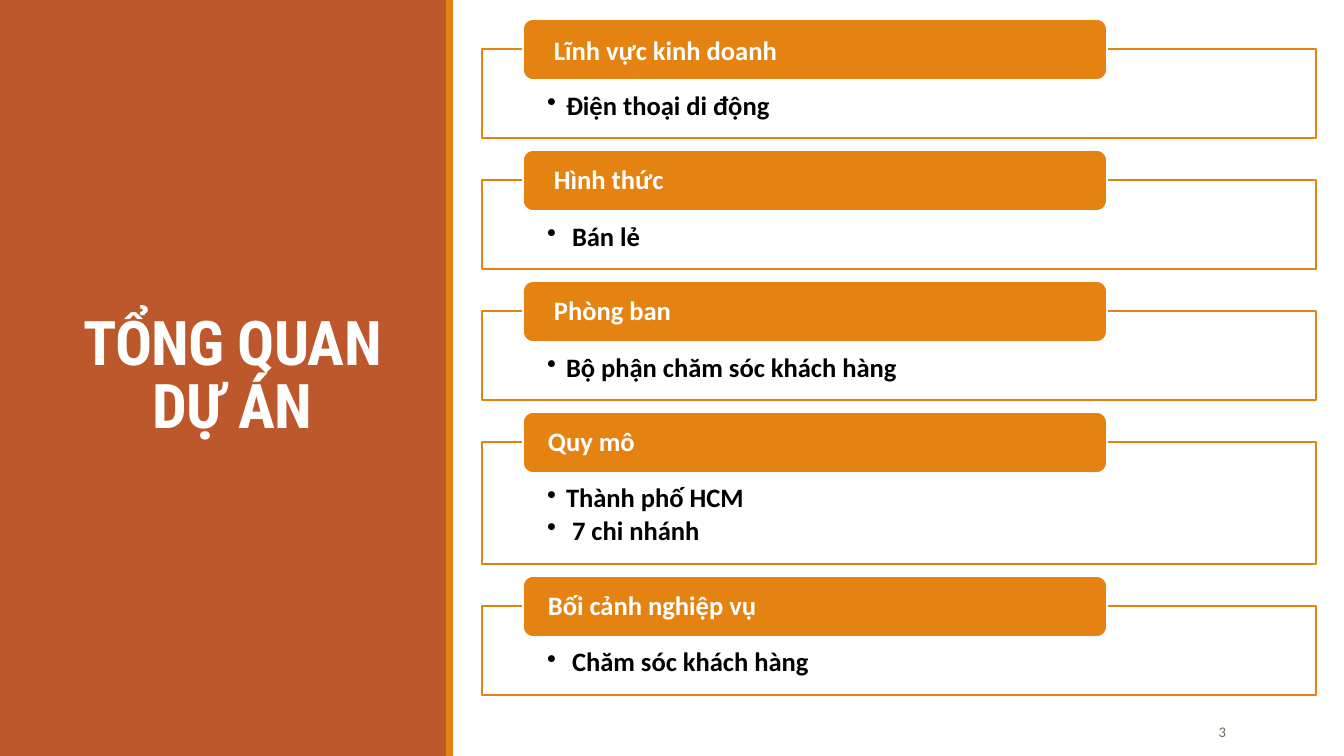
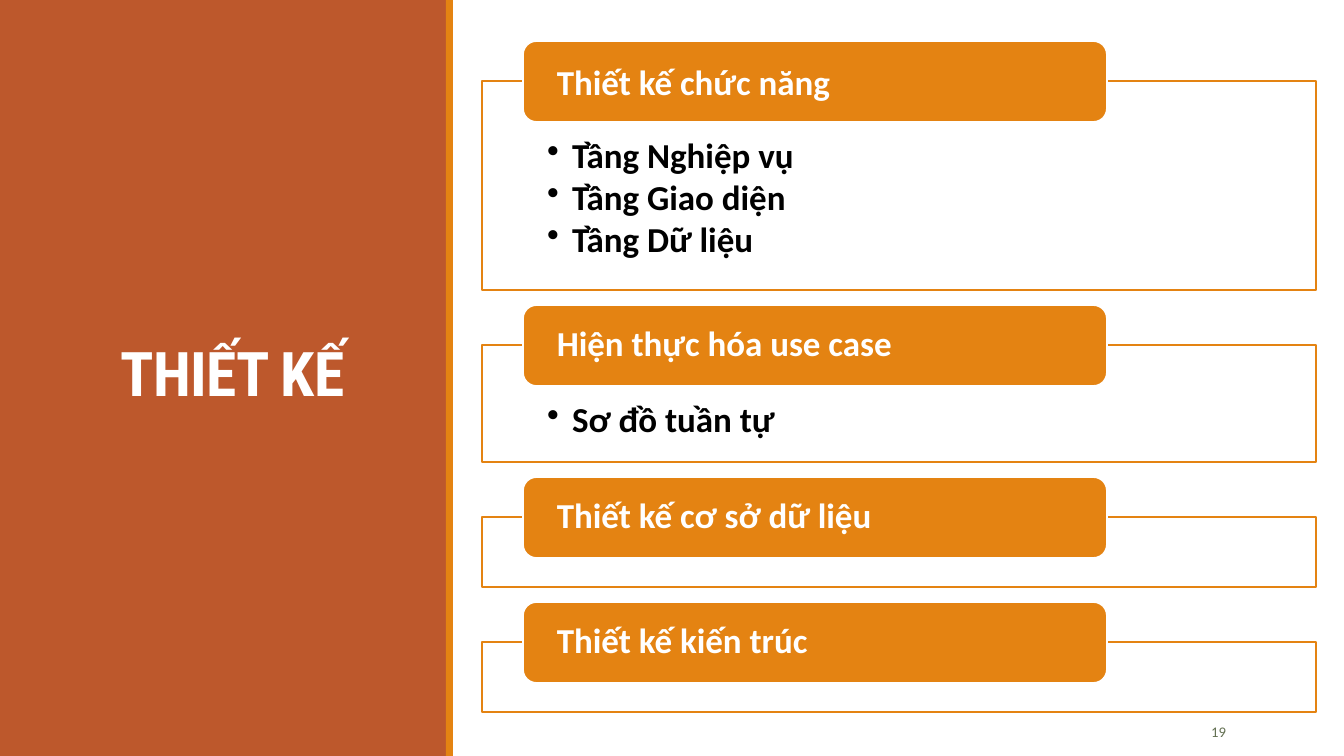
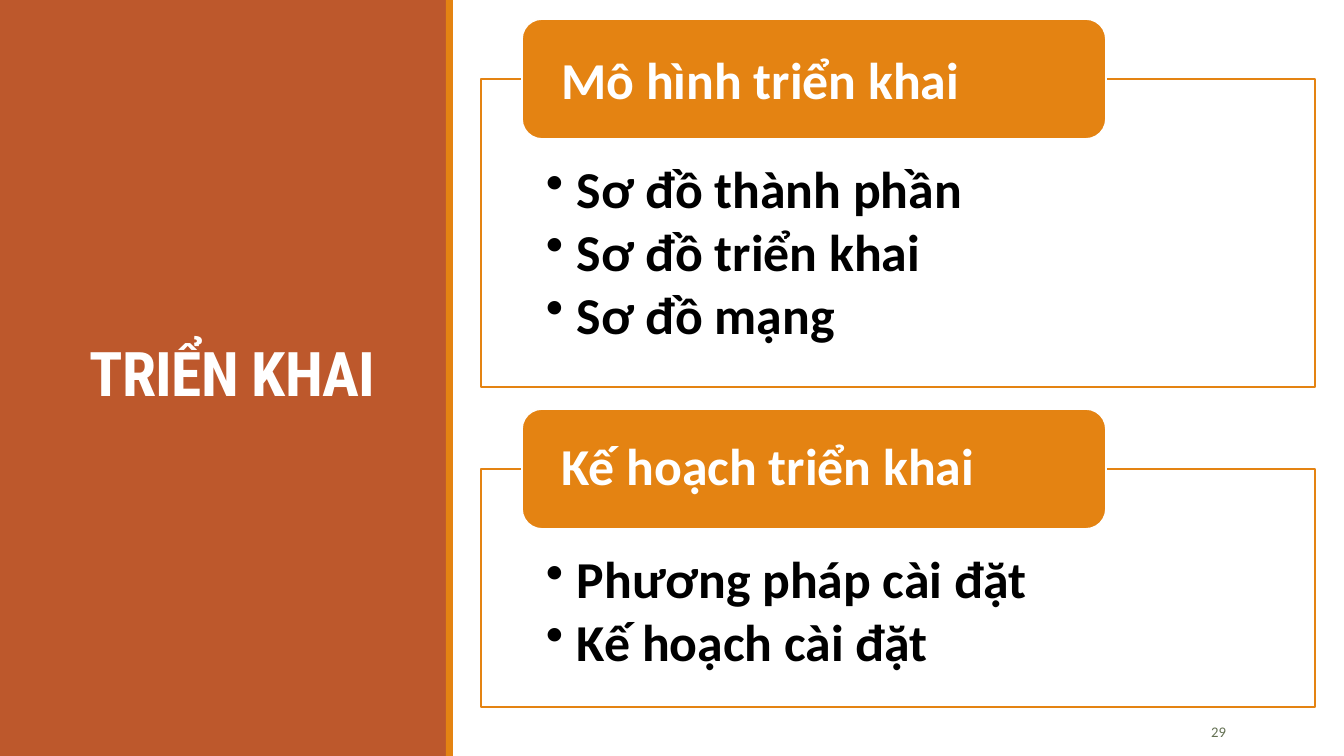
from dataclasses import dataclass

from lxml import etree
from pptx import Presentation
from pptx.dml.color import RGBColor
from pptx.enum.shapes import MSO_SHAPE
from pptx.enum.text import MSO_ANCHOR, MSO_AUTO_SIZE, PP_ALIGN
from pptx.oxml.ns import qn
from pptx.util import Emu, Pt

RECTANGLE, ROUNDED = MSO_SHAPE.RECTANGLE, MSO_SHAPE.ROUNDED_RECTANGLE
TOP, MIDDLE = MSO_ANCHOR.TOP, MSO_ANCHOR.MIDDLE
LEFT, CENTER, RIGHT = PP_ALIGN.LEFT, PP_ALIGN.CENTER, PP_ALIGN.RIGHT
NO_AUTOFIT = MSO_AUTO_SIZE.NONE
TITLE_ONLY = 5

SLIDES = [
    {
        "title": "TỔNG QUAN\vDỰ ÁN", "number": "3", "size": 19,
        "left": 482, "top": 49, "gap": 42, "label": 61,
        "inset": 43, "indent": 19,
        "sections": [
            (" Lĩnh vực kinh doanh", 89, ["Điện thoại di động"]),
            (" Hình thức", 89, [" Bán lẻ"]),
            (" Phòng ban", 89, ["Bộ phận chăm sóc khách hàng"]),
            ("Quy mô", 122, ["Thành phố HCM", " 7 chi nhánh"]),
            ("Bối cảnh nghiệp vụ", 89, [" Chăm sóc khách hàng"]),
        ],
    },
    {
        "title": "THIẾT KẾ", "number": "19", "size": 25,
        "left": 482, "top": 81, "gap": 55, "label": 81,
        "inset": 57, "indent": 25,
        "sections": [
            (" Thiết kế chức năng", 209,
             ["Tầng Nghiệp vụ", "Tầng Giao diện", "Tầng Dữ liệu"]),
            (" Hiện thực hóa use case", 117, ["Sơ đồ tuần tự"]),
            (" Thiết kế cơ sở dữ liệu", 70, []),
            (" Thiết kế kiến trúc", 70, []),
        ],
    },
    {
        "title": "TRIỂN KHAI", "number": "29", "size": 37,
        "left": 481, "top": 79, "gap": 82, "label": 120,
        "inset": 85, "indent": 31,
        "sections": [
            (" Mô hình triển khai", 308,
             ["Sơ đồ thành phần", "Sơ đồ triển khai", "Sơ đồ mạng"]),
            (" Kế hoạch triển khai", 238,
             ["Phương pháp cài đặt", "Kế hoạch cài đặt"]),
        ],
    },
]


@dataclass(frozen=True)
class Theme:
    panel: RGBColor = RGBColor.from_string("BD582C")
    accent: RGBColor = RGBColor.from_string("E48312")
    white: RGBColor = RGBColor.from_string("FFFFFF")
    black: RGBColor = RGBColor.from_string("000000")
    muted: RGBColor = RGBColor.from_string("637052")
    title_font: str = "Roboto Condensed"
    body_font: str = "Calibri"
    title_size: float = 44
    number_size: float = 10.5
    line_width: float = 1.25


THEME = Theme()
PAGE_WIDTH, PAGE_HEIGHT = 1344, 756
PANEL = (0, 0, 447, PAGE_HEIGHT)
STRIPE = (446, 0, 7, PAGE_HEIGHT)
TITLE = (29, 67, 407, 622)
NUMBER = (1116, 712, 120, 40)
FRAME_WIDTH, LABEL_WIDTH, LABEL_SHIFT = 834, 584, 41
FRAME_MARGIN, LABEL_MARGIN = 65, 22


def px(length):
    return Emu(round(length * 914400 / 100.8))


def place(shape, bounds):
    shape.left, shape.top, shape.width, shape.height = map(px, bounds)


def add_box(page, kind, bounds, fill, line=None):
    box = page.shapes.add_shape(kind, *map(px, bounds))
    box.shadow.inherit = False
    box.fill.solid()
    box.fill.fore_color.rgb = fill
    if line is None:
        box.line.fill.background()
    else:
        box.line.color.rgb = line
        box.line.width = Pt(THEME.line_width)
    return box


def set_margins(frame, side, top):
    frame.margin_left = frame.margin_right = px(side)
    frame.margin_top, frame.margin_bottom = px(top), 0


def write(frame, text, size, color, align, anchor,
          font=THEME.body_font, bold=True, spacing=0.9):
    frame.word_wrap = True
    frame.auto_size = NO_AUTOFIT
    frame.vertical_anchor = anchor
    frame.text = text
    for para in frame.paragraphs:
        para.alignment = align
        para.line_spacing = spacing
        para.font.name = font
        para.font.size = Pt(size)
        para.font.bold = bold
        para.font.color.rgb = color


def add_bullet(para, indent):
    properties = para._p.get_or_add_pPr()
    properties.set("marL", str(px(indent)))
    properties.set("indent", str(-px(indent)))
    bullet = etree.Element(qn("a:buChar"), char="•")
    properties.find(qn("a:defRPr")).addprevious(bullet)


def add_section(page, content, top, section, spacing):
    heading, height, items = section
    left, size = content["left"], content["size"]
    frame = add_box(page, RECTANGLE, (left, top, FRAME_WIDTH, height),
                    THEME.white, THEME.accent)
    if items:
        text = frame.text_frame
        set_margins(text, FRAME_MARGIN, content["inset"])
        write(text, "\n".join(items), size, THEME.black, LEFT, TOP)
        for para in text.paragraphs:
            para.space_after = Pt(size * 0.13)
            add_bullet(para, content["indent"])

    label_height = content["label"]
    label = add_box(page, ROUNDED,
                    (left + LABEL_SHIFT, top - label_height // 2,
                     LABEL_WIDTH, label_height), THEME.accent, THEME.white)
    set_margins(label.text_frame, LABEL_MARGIN, 0)
    write(label.text_frame, heading, size, THEME.white, LEFT, MIDDLE,
          spacing=spacing)


def add_title(page, text):
    frame = page.shapes.title.text_frame
    write(frame, text, THEME.title_size, THEME.white, CENTER, MIDDLE,
          font=THEME.title_font, spacing=0.85)
    for para in frame.paragraphs:
        para._p.pPr.find(qn("a:defRPr")).set("spc", "-50")


def add_number(page, text):
    box = page.shapes.add_textbox(*map(px, NUMBER))
    write(box.text_frame, text, THEME.number_size, THEME.muted, RIGHT, MIDDLE,
          bold=False, spacing=1.0)
    box.text_frame.paragraphs[0].space_after = Pt(6)


def add_page(deck, layout, content):
    page = deck.slides.add_slide(layout)
    add_title(page, content["title"])
    add_number(page, content["number"])
    top = content["top"]
    for index, section in enumerate(content["sections"]):
        add_section(page, content, top, section, 0.9 if index else 1.0)
        top += section[1] + content["gap"]
    return page


def share_side_panel(page, layout):
    for bounds, color in ((PANEL, THEME.panel), (STRIPE, THEME.accent)):
        band = add_box(page, RECTANGLE, bounds, color)
        layout.shapes.element.append(band.element)


def main():
    deck = Presentation()
    deck.slide_width, deck.slide_height = px(PAGE_WIDTH), px(PAGE_HEIGHT)
    layout = deck.slide_layouts[TITLE_ONLY]
    place(layout.placeholders[0], TITLE)
    pages = [add_page(deck, layout, content) for content in SLIDES]
    share_side_panel(pages[0], layout)
    deck.save("out.pptx")


if __name__ == "__main__":
    main()
